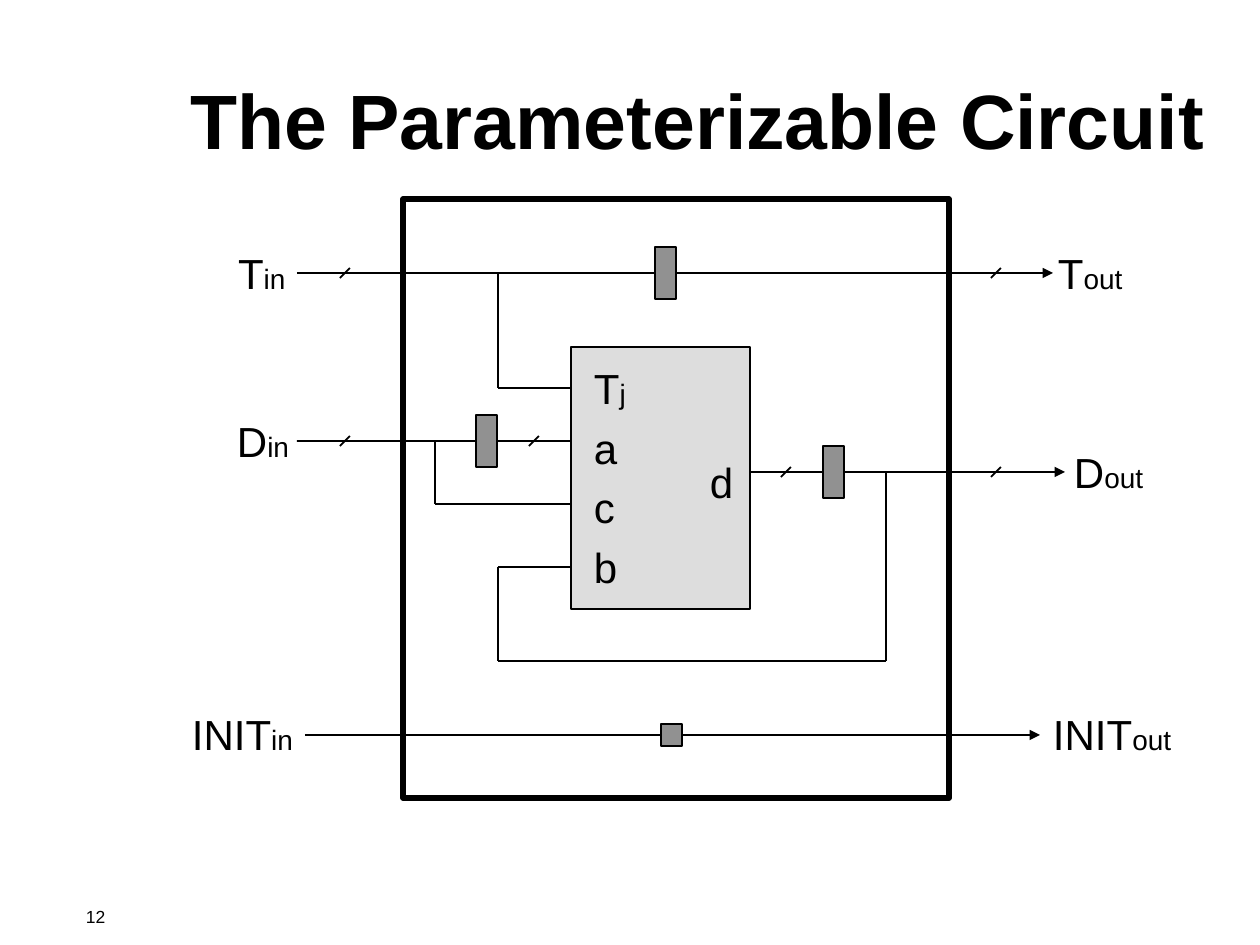
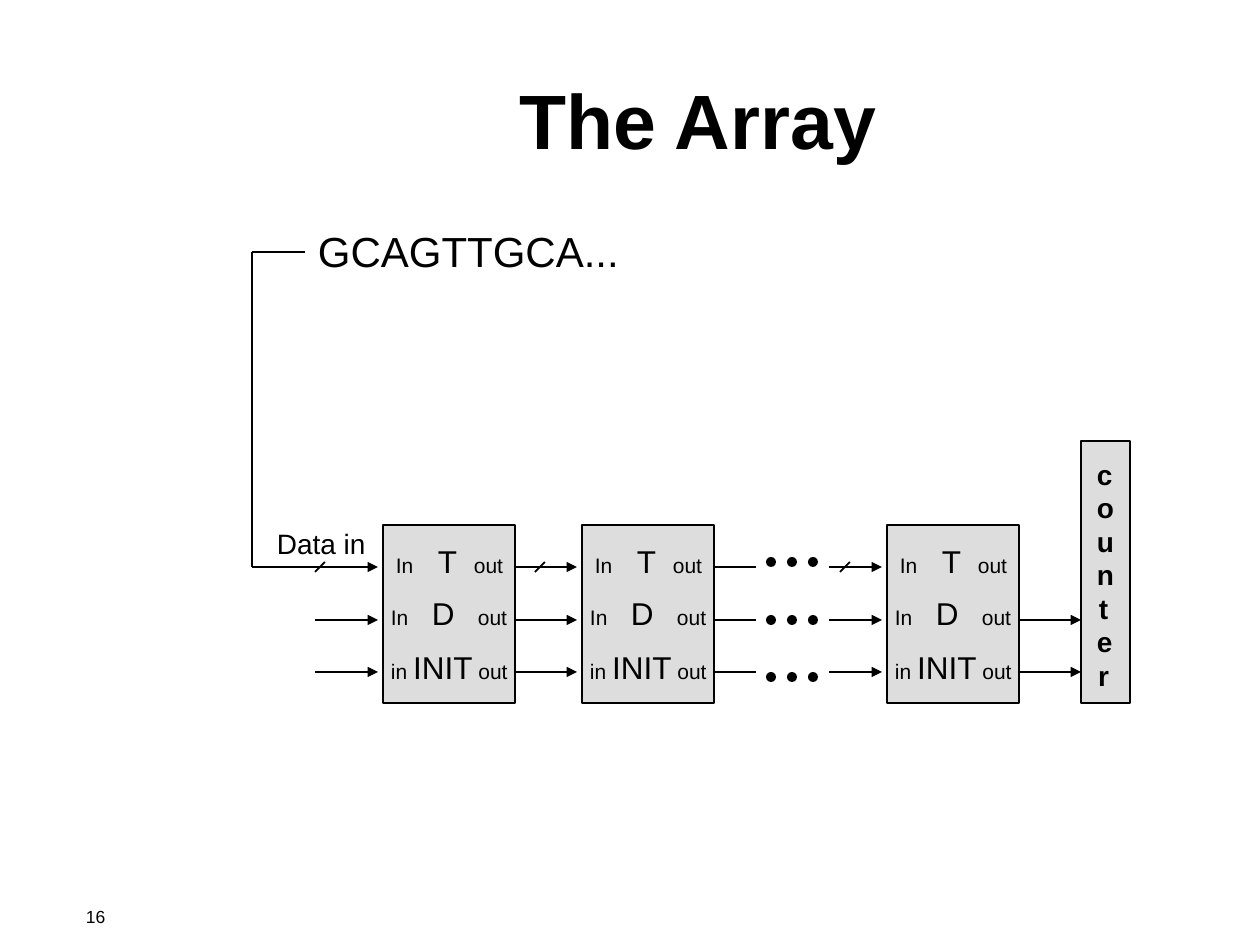
from itertools import pairwise

from lxml import etree
from pptx import Presentation
from pptx.dml.color import RGBColor
from pptx.enum.shapes import MSO_CONNECTOR, MSO_SHAPE
from pptx.enum.text import MSO_ANCHOR, PP_ALIGN
from pptx.oxml.ns import qn
from pptx.util import Emu, Pt

STRAIGHT = MSO_CONNECTOR.STRAIGHT
RECTANGLE, OVAL = MSO_SHAPE.RECTANGLE, MSO_SHAPE.OVAL
LEFT, CENTER = PP_ALIGN.LEFT, PP_ALIGN.CENTER
TOP, MIDDLE = MSO_ANCHOR.TOP, MSO_ANCHOR.MIDDLE
LEFT_SIDE, RIGHT_SIDE = 1, 3

BLACK = RGBColor(0x00, 0x00, 0x00)
BLOCK_GREY = RGBColor(0xDD, 0xDD, 0xDD)
REGISTER_GREY = RGBColor(0x91, 0x91, 0x91)
FONT = "Arial"
PX = 914400 / 126
SLIDE_SIZE = (1260, 945)
TITLE_BOX = (136, 40, 1124, 158)
NUMBER_BOX = (73, 900, 305, 42)
INSET_X, INSET_Y = 13, 6
SLASH = 5

CIRCUIT = {
    "title": "The Parameterizable Circuit",
    "number": "12",
    "frame": (403, 199, 546, 599),
    "unit": (571, 347, 179, 262),
    "register_width": 21,
    "channels": [
        {"y": 273, "start": 297, "register": (655, 52), "end": 1053, "arrow": True, "slashes": (345, 996)},
        {"y": 441, "start": 297, "register": (476, 52), "end": 571, "arrow": False, "slashes": (345, 534)},
        {"y": 472, "start": 750, "register": (823, 52), "end": 1065, "arrow": True, "slashes": (786, 996)},
        {"y": 735, "start": 305, "register": (661, 22), "end": 1040, "arrow": True, "slashes": ()},
    ],
    "branches": [
        [(498, 273), (498, 388), (571, 388)],
        [(435, 441), (435, 504), (571, 504)],
        [(886, 472), (886, 661), (498, 661), (498, 567), (571, 567)],
    ],
    "labels": [
        ("T", "in", 225, 242, 72), ("T", "out", 1045, 242, 90),
        ("D", "in", 224, 410, 77), ("D", "out", 1061, 441, 95),
        ("INIT", "in", 179, 703, 126), ("INIT", "out", 1040, 703, 144),
        ("T", "j", 581, 357, 57), ("a", "", 581, 417, 48), ("c", "", 581, 476, 45),
        ("b", "", 581, 536, 48), ("d", "", 697, 451, 48),
    ],
}

ARRAY = {
    "title": "The Array",
    "number": "16",
    "sequence": ("GCAGTTGCA...", (305, 220, 336, 63)),
    "data_in": ("Data in", (264, 520, 114, 47)),
    "feed": [(305, 252), (252, 252), (252, 567)],
    "counter": ("counter", (1081, 441, 49, 262), (1084, 451, 39, 248)),
    "cells": (383, 582, 887),
    "cell_size": (132, 178),
    "cell_top": 525,
    "rows": [
        {"y": 567, "dots": 562, "start": 252, "to_counter": False, "slashes": (320, 540, 845),
         "ports": ("In\t", "T", "\tout"), "offset": (0, 536), "tabs": (42, 78)},
        {"y": 620, "dots": 620, "start": 315, "to_counter": True, "slashes": (),
         "ports": ("In\t", "D", "\tout"), "offset": (-5, 588), "tabs": (41, 87)},
        {"y": 672, "dots": 677, "start": 315, "to_counter": True, "slashes": (),
         "ports": ("in ", "INIT", " out"), "offset": (-5, 642), "tabs": ()},
    ],
    "gap": (756, 829),
    "dots": (771, 792, 813),
    "dot_size": 10,
}


def px(*lengths):
    return [Emu(round(length * PX)) for length in lengths]


def add_text(slide, box, runs, align=LEFT, anchor=TOP, bold=False, right=0, tabs=()):
    frame = slide.shapes.add_textbox(*px(*box)).text_frame
    left, top, right = px(INSET_X, INSET_Y, right)
    frame_format = {"word_wrap": True, "vertical_anchor": anchor, "margin_left": left,
                    "margin_right": right, "margin_top": top, "margin_bottom": top}
    for name, value in frame_format.items():
        setattr(frame, name, value)
    paragraph = frame.paragraphs[0]
    paragraph.alignment = align
    if tabs:
        stops = etree.SubElement(paragraph._p.get_or_add_pPr(), qn("a:tabLst"))
        for stop in px(*tabs):
            etree.SubElement(stops, qn("a:tab"), pos=str(stop), algn="l")
    for text, size in runs:
        run = paragraph.add_run()
        run.text = text
        for name, value in {"name": FONT, "size": Pt(size), "bold": bold}.items():
            setattr(run.font, name, value)
        run.font.color.rgb = BLACK


def add_block(slide, box, fill=None, line=0.75, kind=RECTANGLE):
    block = slide.shapes.add_shape(kind, *px(*box))
    block.shadow.inherit = False
    if fill is None:
        block.fill.background()
    else:
        block.fill.solid()
        block.fill.fore_color.rgb = fill
    if line:
        block.line.color.rgb = BLACK
        block.line.width = Pt(line)
    else:
        block.line.fill.background()
    return block


def add_wire(slide, start, end, arrow=False):
    wire = slide.shapes.add_connector(STRAIGHT, *px(*start, *end))
    wire.line.color.rgb = BLACK
    wire.line.width = Pt(1)
    if arrow:
        etree.SubElement(wire.line._get_or_add_ln(), qn("a:tailEnd"), type="triangle")
    etree.SubElement(wire._element.spPr, qn("a:effectLst"))
    return wire


def add_path(slide, points):
    for start, end in pairwise(points):
        add_wire(slide, start, end)


def add_slashes(slide, centers, y):
    for x in centers:
        add_wire(slide, (x - SLASH, y + SLASH), (x + SLASH, y - SLASH))


def start_slide(deck, content):
    slide = deck.slides.add_slide(deck.slide_layouts[6])
    add_text(slide, TITLE_BOX, [(content["title"], 44)], CENTER, MIDDLE, True, INSET_X)
    add_text(slide, NUMBER_BOX, [(content["number"], 10)])
    return slide


def build_circuit(deck):
    slide = start_slide(deck, CIRCUIT)
    add_block(slide, CIRCUIT["frame"], line=3)
    add_block(slide, CIRCUIT["unit"], BLOCK_GREY)
    width = CIRCUIT["register_width"]
    for channel in CIRCUIT["channels"]:
        y = channel["y"]
        x, height = channel["register"]
        register = add_block(slide, (x, y - height // 2, width, height), REGISTER_GREY)
        incoming = add_wire(slide, (channel["start"], y), (x, y))
        incoming.end_connect(register, LEFT_SIDE)
        outgoing = add_wire(slide, (x + width, y), (channel["end"], y), channel["arrow"])
        outgoing.begin_connect(register, RIGHT_SIDE)
        add_slashes(slide, channel["slashes"], y)
    for branch in CIRCUIT["branches"]:
        add_path(slide, branch)
    for signal, suffix, x, y, label_width in CIRCUIT["labels"]:
        runs = [(signal, 24)] + ([(suffix, 16)] if suffix else [])
        add_text(slide, (x, y, label_width, 63), runs)


def build_array(deck):
    slide = start_slide(deck, ARRAY)
    for key, size in (("sequence", 24), ("data_in", 16)):
        text, box = ARRAY[key]
        add_text(slide, box, [(text, size)])
    add_path(slide, ARRAY["feed"])
    counter, counter_box, counter_text_box = ARRAY["counter"]
    add_block(slide, counter_box, BLOCK_GREY)
    add_text(slide, counter_text_box, [(counter, 16)], CENTER, bold=True, right=INSET_X)

    cells, (width, height) = ARRAY["cells"], ARRAY["cell_size"]
    for x in cells:
        add_block(slide, (x, ARRAY["cell_top"], width, height), BLOCK_GREY)
    first, second, last = cells
    gap_start, gap_end = ARRAY["gap"]
    dot = ARRAY["dot_size"]
    for row in ARRAY["rows"]:
        y = row["y"]
        spans = [(row["start"], first - 5, True), (first + width, second - 5, True),
                 (second + width, gap_start, False), (gap_end, last - 5, True)]
        if row["to_counter"]:
            spans.append((last + width, counter_box[0], True))
        for start, end, arrow in spans:
            add_wire(slide, (start, y), (end, y), arrow)
        add_slashes(slide, row["slashes"], y)
        for x in ARRAY["dots"]:
            add_block(slide, (x - dot // 2, row["dots"] - dot // 2, dot, dot), BLACK, 0, OVAL)
        shift, top = row["offset"]
        for x in cells:
            add_text(slide, (x + shift, top, 141, 50), zip(row["ports"], (12, 18, 12)), tabs=row["tabs"])


def main():
    deck = Presentation()
    deck.slide_width, deck.slide_height = px(*SLIDE_SIZE)
    build_circuit(deck)
    build_array(deck)
    deck.save("out.pptx")


if __name__ == "__main__":
    main()
